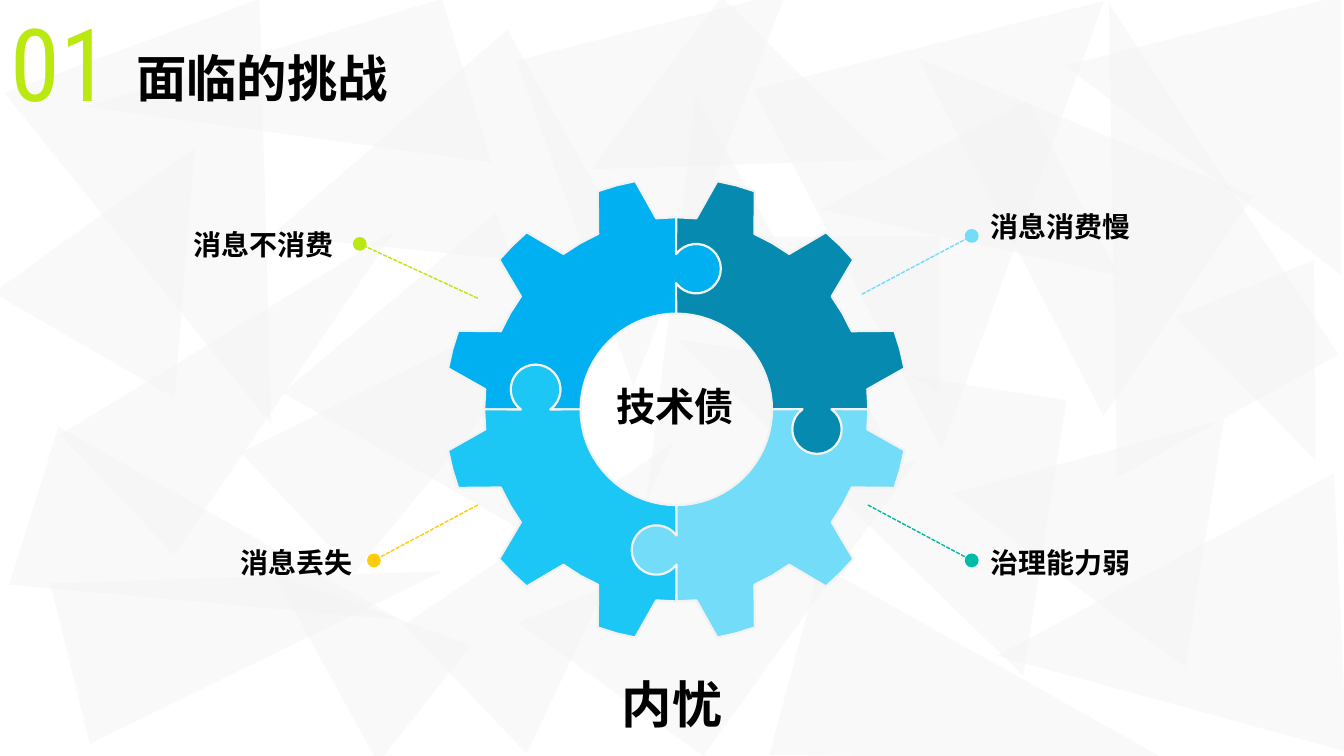
"""Build the challenges slide: a four-piece puzzle gear with labelled callouts."""
import math
from dataclasses import dataclass

import lxml.etree
import pptx
import pptx.dml.color
import pptx.enum.dml
import pptx.enum.shapes
import pptx.enum.text
import pptx.oxml.ns
import pptx.util

Pt = pptx.util.Pt
RGB = pptx.dml.color.RGBColor.from_string
qn = pptx.oxml.ns.qn
Kind = pptx.enum.shapes.MSO_SHAPE
Align = pptx.enum.text.PP_ALIGN
Anchor = pptx.enum.text.MSO_ANCHOR


@dataclass(frozen=True)
class Theme:
    pale: str = "F2F2F2"
    ink: str = "000000"
    lime: str = "BAE811"
    sky: str = "73DCF9"
    teal: str = "00BBA6"
    gold: str = "FFCC0B"
    gear: tuple = ("00B0F0", "078AAF", "73DCF9", "1CC6F5")
    font: str = "Arial"
    slim: str = "Roboto Condensed"
    huge: int = 72
    head: int = 36
    core: int = 28
    note: int = 20


theme = Theme()


def polar(size, angle):
    turn = math.radians(angle)
    return size * complex(math.cos(turn), math.sin(turn))


def write(box, text, size, align, anchor=Anchor.MIDDLE, inset=True,
          font=theme.font, color=theme.ink, bold=True):
    frame = box.text_frame
    frame.word_wrap = True
    frame.auto_size = pptx.enum.text.MSO_AUTO_SIZE.NONE
    frame.vertical_anchor = anchor
    if not inset:
        frame.margin_left = frame.margin_right = 0
        frame.margin_top = frame.margin_bottom = 0
    frame.text = text
    line = frame.paragraphs[0]
    line.alignment = align
    line.font.name = font
    line.font.size = Pt(size)
    line.font.bold = bold
    line.font.color.rgb = RGB(color)
    return line


deck = pptx.Presentation()
deck.slide_width, deck.slide_height = Pt(960), Pt(540)
slide = deck.slides.add_slide(deck.slide_layouts[5])
shapes = slide.shapes

shards = [
    (96, 265, 118, 274, 107.3, 0.5),
    (124, 304, 118, 274, 76.1, 0.5),
    (47, 24, 194, 288, 159.8, 0.5),
    (124, 122, 118, 274, 46.5, 0.5),
    (352, 299, 127, 229, 46.5, 0.3),
    (267, 184, 199, 274, 139.8, 0.5),
    (680, 282, 179, 184, 278.9, 0.54),
    (508, 222, 199, 281, 278.9, 1),
    (431, 256, 163, 261, 35.8, 1),
    (714, 17, 181, 299, 331, 0.88),
    (377, 100, 199, 274, 331, 1),
    (438, 34, 165, 153, 224.6, 0.88),
    (569, 28, 258, 282, 165.8, 0.74),
    (396, 15, 199, 246, 165.8, 0.88),
    (216, 52, 199, 219, 240.7, 0.77),
    (735, 320, 199, 246, 267.4, 0.4),
    (525, 135, 112, 180, 270, 1),
    (-25, 122, 179, 135, 274.6, 0.36),
    (145, -37, 122, 266, 253.2, 1),
    (760, -2, 199, 197, 270, 0.75),
    (253, 135, 118, 274, 46.5, 0.71),
    (630, 370, 140, 274, 105, 0.5),
    (861, 201, 107, 133, 157.6, 0.5),
    (194, 388, 107, 142, 308.3, 0.56),
    (642, 21, 190, 253, 304.2, 0.72),
    (609, 103, 167, 140, 152.5, 0),
]
for *place, turn, peak in shards:
    shard = shapes.add_shape(Kind.ISOSCELES_TRIANGLE, *map(Pt, place))
    shard.rotation = turn
    shard.adjustments[0] = peak
    shard.shadow.inherit = False
    shard.line.fill.background()
    shard.fill.solid()
    shard.fill.fore_color.rgb = RGB(theme.pale)
    tint = shard.fill._xPr.find(qn("a:solidFill"))[0]
    lxml.etree.SubElement(tint, qn("a:alpha"), val="42000")

hub = complex(483.1, 292.4)
hole, root, tip = 68.4, 137.2, 165.6
tooth = [(root, -9), (tip, -4.8), (tip, 0), (tip, 4.8), (root, 9), (root, 15)]
knob = [100.5 + 14.2j + polar(17.7, -54 + 12 * step) for step in range(25)]
edge = [root, *knob, hole]

for part, color in enumerate(theme.gear):
    start = 180 + 90 * part
    ring = [point * polar(1, start) for point in reversed(edge)]
    for mid in (15, 45, 75):
        ring += [polar(size, start + mid + turn) for size, turn in tooth]
    ring += [point * polar(1, start + 90) for point in edge]
    ring += [polar(hole, start + 90 - 5 * step) for step in range(1, 18)]
    spots = [(Pt((hub + z).real), Pt((hub + z).imag)) for z in ring]
    path = shapes.build_freeform(*spots[0])
    path.add_line_segments(spots[1:], close=True)
    piece = path.convert_to_shape()
    piece.shadow.inherit = False
    piece.fill.solid()
    piece.fill.fore_color.rgb = RGB(color)
    piece.line.color.rgb = RGB(theme.pale)
    piece.line.width = Pt(1.5)

calls = [
    ((615.6, 210.2, 694.1, 168.5), theme.sky),
    ((619.9, 360.7, 694.1, 400.3), theme.teal),
    ((341.3, 360.7, 267.1, 400.3), theme.gold),
    ((341.3, 213.1, 257, 174.2), theme.lime),
]
for ends, color in calls:
    link = shapes.add_connector(
        pptx.enum.shapes.MSO_CONNECTOR.STRAIGHT, *map(Pt, ends))
    link.line.color.rgb = RGB(color)
    link.line.width = Pt(1)
    link.line.dash_style = pptx.enum.dml.MSO_LINE.SQUARE_DOT
    lxml.etree.SubElement(link.line._get_or_add_ln(), qn("a:tailEnd"),
                          type="oval", w="lg", len="lg")
    lxml.etree.SubElement(link._element.spPr, qn("a:effectLst"))

notes = [
    ("技术债", (410.4, 257.8, 144, 64.8), theme.core, Align.CENTER),
    ("消息不消费", (52.6, 162, 193, 25.2), theme.note, Align.RIGHT),
    ("消息丢失", (52.6, 388.8, 206.6, 25.2), theme.note, Align.RIGHT),
    ("消息消费慢", (700.6, 149, 206.6, 25.2), theme.note, Align.LEFT),
    ("治理能力弱", (700.6, 388.8, 206.6, 25.2), theme.note, Align.LEFT),
    ("内忧", (408.2, 470.2, 144, 64.8), theme.head, Align.CENTER),
]
for text, place, size, align in notes:
    write(shapes.add_textbox(*map(Pt, place)), text, size, align)

count = shapes.add_textbox(0, Pt(0.7), Pt(86.4), Pt(86.4))
write(count, "01", theme.huge, Align.CENTER, inset=False,
      font=theme.slim, color=theme.lime, bold=False)

title = shapes.title
title.left, title.top, title.width, title.height = map(Pt, (97.2, 29.5, 248.4, 57.6))
line = write(title, "面临的挑战", theme.head, Align.LEFT, Anchor.TOP, inset=False)
line.line_spacing = 1.1
shapes._spTree.append(title._element)

deck.save("out.pptx")
